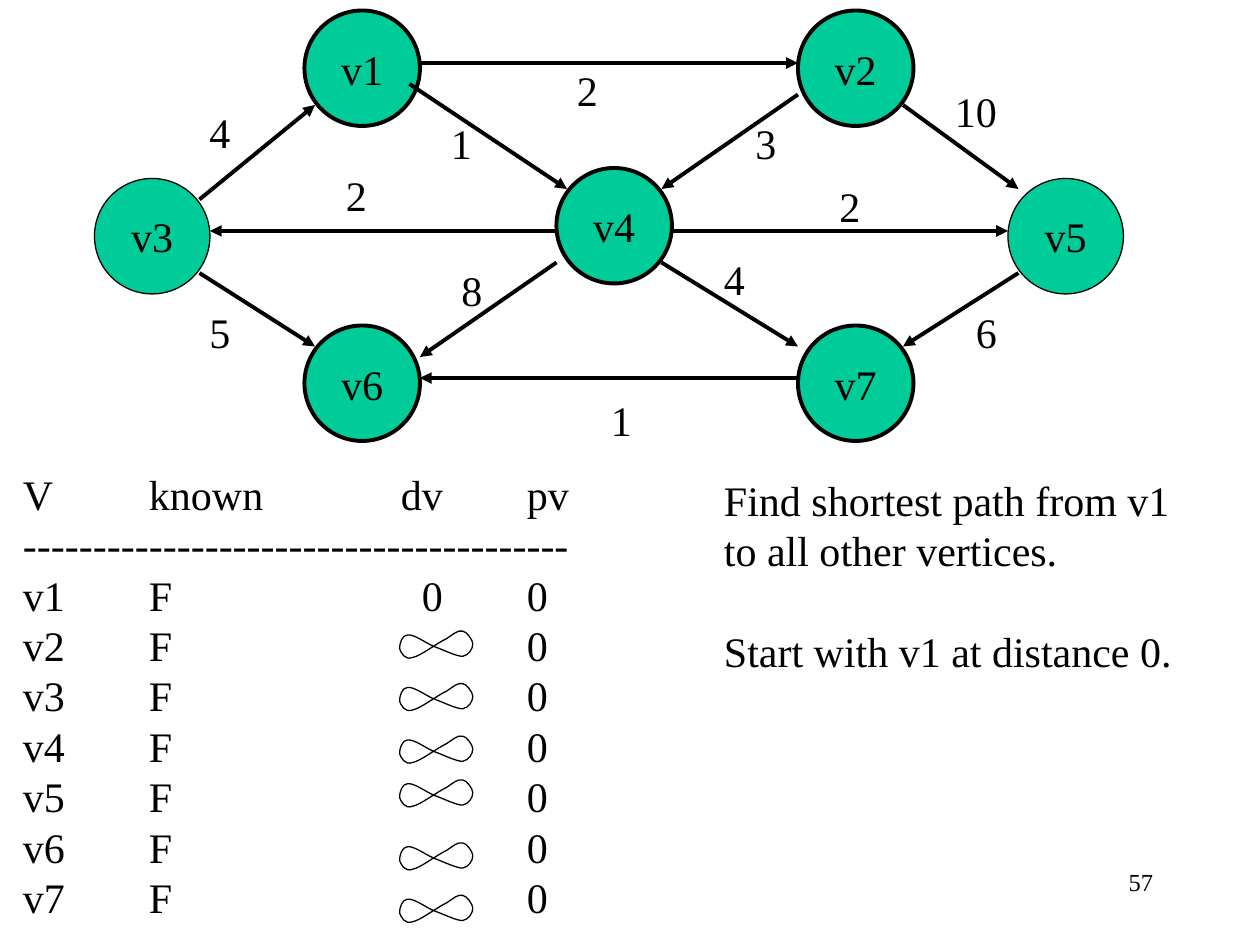
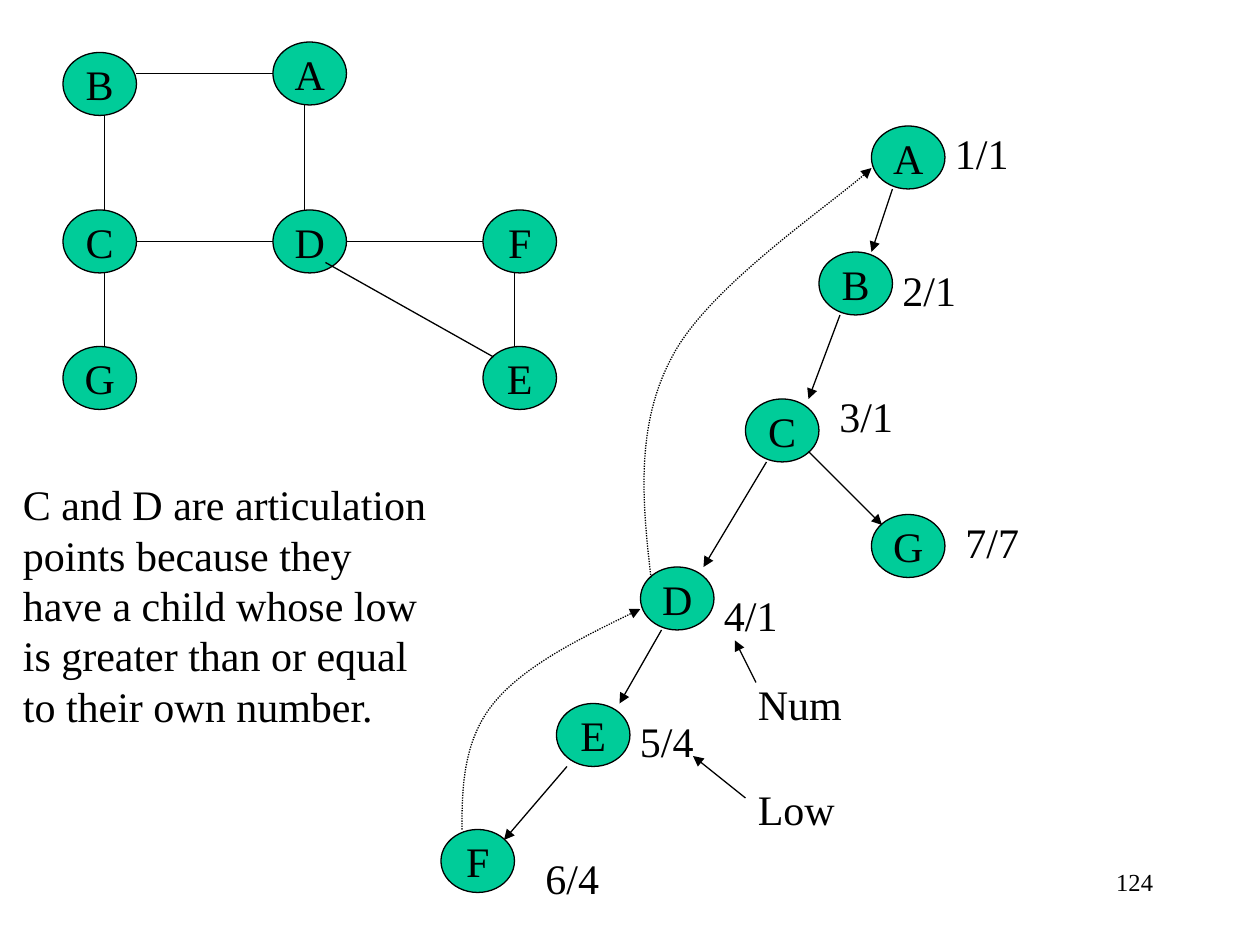
from lxml import etree
from pptx import Presentation
from pptx.dml.color import RGBColor
from pptx.enum.dml import MSO_LINE
from pptx.enum.shapes import MSO_CONNECTOR, MSO_SHAPE
from pptx.enum.text import MSO_ANCHOR, MSO_AUTO_SIZE, PP_ALIGN
from pptx.oxml.ns import qn
from pptx.util import Pt

BLACK = RGBColor(0x00, 0x00, 0x00)
GREEN = RGBColor(0x00, 0xCC, 0x99)
FONT = "Times New Roman"
BODY_SIZE = 24
NUMBER_SIZE = 14
THIN, THICK = 0.75, 2.25
LABEL_HEIGHT = 36
BLANK_LAYOUT = 6
OVAL = MSO_SHAPE.OVAL
STRAIGHT = MSO_CONNECTOR.STRAIGHT
MIDDLE = MSO_ANCHOR.MIDDLE
FIT_TEXT = MSO_AUTO_SIZE.SHAPE_TO_FIT_TEXT
LEFT, CENTER, RIGHT = PP_ALIGN.LEFT, PP_ALIGN.CENTER, PP_ALIGN.RIGHT
DOTTED = MSO_LINE.ROUND_DOT

VERTICES = {
    "v3": (54, 102, THIN), "v1": (174, 6, THICK), "v6": (174, 186, THICK),
    "v5": (576, 102, THIN), "v2": (456, 6, THICK), "v7": (456, 186, THICK),
    "v4": (318, 96, THICK),
}
WEIGHTED_EDGES = [
    ((114, 114), (180, 60), "4", (112.6, 57.4)),
    ((114, 156), (180, 198), "5", (112.6, 171.4)),
    ((318, 132), (120, 132), "2", (190.6, 93.4)),
    ((240, 36), (456, 36), "2", (322.6, 33.4)),
    ((582, 156), (516, 198), "6", (550.6, 171.4)),
    ((516, 60), (582, 108), "10", (538.6, 45.4)),
    ((234, 48), (324, 108), "1", (250.6, 63.4)),
    ((456, 54), (378, 108), "3", (424.6, 63.4)),
    ((384, 132), (576, 132), "2", (472.6, 99.4)),
    ((378, 150), (456, 198), "4", (406.6, 141.4)),
    ((456, 216), (240, 216), "1", (342, 222)),
    ((318, 150), (240, 204), "8", (256.6, 147.4)),
]
INFINITY = [
    (27, 5), (22, 7.2), (12, 15.1), (7.4, 15.8),
    (3.1, 17.3), (1, 13), (0.2, 10.8), (0, 7.9), (1.7, 2.9), (4.6, 2.9),
    (8.2, 2.2), (14.6, 7.2), (19.7, 9.4), (25.4, 11.5), (32.6, 15.1), (36.2, 15.1),
    (39.8, 14.4), (42, 10.8), (42, 7.9), (42, 5.8), (38.4, 0.7), (36.2, 0.7),
    (33.4, 0), (31.2, 2.2), (27, 5),
]
INFINITY_LEFT = 228.2
INFINITY_TOPS = [360, 390, 420, 445, 481, 511]
HEADER_TABS = [72, 216, 288]
ROW_TABS = [72, 228, 288]

GRAPH_NODES = {
    "A": (156, 24), "B": (36, 30), "C": (36, 120), "D": (156, 120),
    "E": (276, 198), "F": (276, 120), "G": (36, 198),
}
GRAPH_EDGES = [
    ((186, 150), (282, 204)), ((174, 60), (174, 120)), ((78, 138), (156, 138)),
    ((59.9, 156), (59.9, 198)), ((78, 42), (156, 42)), ((276, 138), (198, 138)),
    ((294, 156), (294, 198)), ((59.9, 66), (59.9, 120)),
]
TREE_NODES = {
    "A": (498, 72), "B": (468, 144), "C": (426, 228), "D": (366, 324),
    "E": (318, 402), "F": (252, 474), "G": (498, 294),
}
TREE_EDGES = [
    ((510, 108), (498, 144)), ((480, 180), (462, 228)), ((438, 264), (402, 324)),
    ((378, 360), (354, 402)), ((324, 438), (288, 480)), ((462, 258), (504, 300)),
]
BACK_EDGES = [
    [(372, 330), (367, 287), (363, 243), (384, 204), (404, 165), (479, 114), (498, 96)],
    [(264, 474), (264, 449), (265, 423), (282, 402), (299, 381), (333, 364), (366, 348)],
]
NUM_LOW = {
    "1/1": (538.6, 69.4), "2/1": (508.6, 147.4), "3/1": (472.6, 219.4),
    "4/1": (406.6, 333.4), "5/4": (358.6, 405.4), "6/4": (304.6, 483.4),
    "7/7": (544.6, 291.4),
}
LEGEND_ARROWS = [((432, 390), (420, 366)), ((426, 456), (396, 432))]


def format_text(frame, align, size=BODY_SIZE):
    for paragraph in frame.paragraphs:
        paragraph.alignment = align
        for run in paragraph.runs:
            run.font.name = FONT
            run.font.size = Pt(size)
            run.font.color.rgb = BLACK


def add_text(slide, text, left, top, width, height=LABEL_HEIGHT, wrap=False,
             align=LEFT, size=BODY_SIZE):
    frame = slide.shapes.add_textbox(Pt(left), Pt(top), Pt(width), Pt(height)).text_frame
    frame.text = text
    frame.word_wrap = wrap
    frame.auto_size = FIT_TEXT
    format_text(frame, align, size)
    return frame


def add_slide(prs, number):
    slide = prs.slides.add_slide(prs.slide_layouts[BLANK_LAYOUT])
    add_text(slide, number, 516, 492, 150, wrap=True, align=RIGHT, size=NUMBER_SIZE)
    return slide


def add_node(slide, name, left, top, width, height, weight=THIN):
    node = slide.shapes.add_shape(OVAL, Pt(left), Pt(top), Pt(width), Pt(height))
    node.shadow.inherit = False
    node.fill.solid()
    node.fill.fore_color.rgb = GREEN
    set_line(node, weight)
    frame = node.text_frame
    frame.text = name
    frame.word_wrap = False
    frame.vertical_anchor = MIDDLE
    format_text(frame, CENTER)


def set_line(shape, weight):
    shape.line.color.rgb = BLACK
    shape.line.width = Pt(weight)


def add_arrowhead(shape):
    outline = shape.element.spPr.find(qn("a:ln"))
    etree.SubElement(outline, qn("a:tailEnd")).set("type", "triangle")


def add_edge(slide, start, end, weight=THIN, arrow=True):
    edge = slide.shapes.add_connector(STRAIGHT, *map(Pt, start + end))
    set_line(edge, weight)
    if arrow:
        add_arrowhead(edge)
    etree.SubElement(edge.element.spPr, qn("a:effectLst"))


def bend_segments(shape):
    segments = list(shape.element.spPr.iter(qn("a:lnTo")))
    for first in range(0, len(segments), 3):
        bend = etree.Element(qn("a:cubicBezTo"))
        segments[first].addprevious(bend)
        for segment in segments[first:first + 3]:
            bend.append(segment[0])
            segment.getparent().remove(segment)


def add_curve(slide, controls, closed=False):
    points = [(Pt(x), Pt(y)) for x, y in controls]
    builder = slide.shapes.build_freeform(*points[0], scale=1.0)
    builder.add_line_segments(points[1:], close=closed)
    curve = builder.convert_to_shape()
    bend_segments(curve)
    curve.shadow.inherit = False
    curve.fill.background()
    set_line(curve, THIN)
    return curve


def set_tabs(paragraph, stops):
    tabs = etree.SubElement(paragraph._p.get_or_add_pPr(), qn("a:tabLst"))
    for stop in stops:
        etree.SubElement(tabs, qn("a:tab"), pos=str(Pt(stop)), algn="l")


def add_distance_rows(slide):
    rows = ["V\tknown\tdv\tpv", "-" * 39, "v1\tF\t0\t0"]
    rows += [f"v{index}\tF\t\t0" for index in range(2, 8)]
    frame = add_text(slide, "\n".join(rows), 6, 264, 326.4, 265.8)
    for index, paragraph in enumerate(frame.paragraphs):
        set_tabs(paragraph, ROW_TABS if index else HEADER_TABS)
    for top in INFINITY_TOPS:
        add_curve(slide, [(INFINITY_LEFT + x, top + y) for x, y in INFINITY], closed=True)


def build_shortest_path(prs):
    slide = add_slide(prs, "57")
    for name, (left, top, weight) in VERTICES.items():
        add_node(slide, name, left, top, 66, 66, weight)
    for start, end, cost, (left, top) in WEIGHTED_EDGES:
        add_edge(slide, start, end, THICK)
        add_text(slide, cost, left, top, 14.4 + 12 * len(cost))
    add_distance_rows(slide)
    task = add_text(
        slide,
        "Find shortest path from v1\nto all other vertices.\nStart with v1 at distance 0.",
        406.6, 267.4, 273, 122.4)
    task.paragraphs[2].space_before = Pt(28.8)


def build_articulation_points(prs):
    slide = add_slide(prs, "124")
    for nodes in (GRAPH_NODES, TREE_NODES):
        for name, (left, top) in nodes.items():
            add_node(slide, name, left, top, 42, 36)
    for start, end in GRAPH_EDGES:
        add_edge(slide, start, end, arrow=False)
    for start, end in TREE_EDGES + LEGEND_ARROWS:
        add_edge(slide, start, end)
    for controls in BACK_EDGES:
        back_edge = add_curve(slide, controls)
        back_edge.line.dash_style = DOTTED
        add_arrowhead(back_edge)
    for pair, (left, top) in NUM_LOW.items():
        add_text(slide, pair, left, top, 45.4)
    add_text(slide, "Num", 426, 384, 62.4)
    add_text(slide, "Low", 426, 444, 58.4)
    add_text(
        slide,
        "C and D are articulation\npoints because they have a child whose low "
        "is greater than or equal to their own number.",
        6, 270, 246, 151.2, wrap=True)


def main():
    prs = Presentation()
    prs.slide_width, prs.slide_height = Pt(720), Pt(540)
    build_shortest_path(prs)
    build_articulation_points(prs)
    prs.save("out.pptx")


if __name__ == "__main__":
    main()
